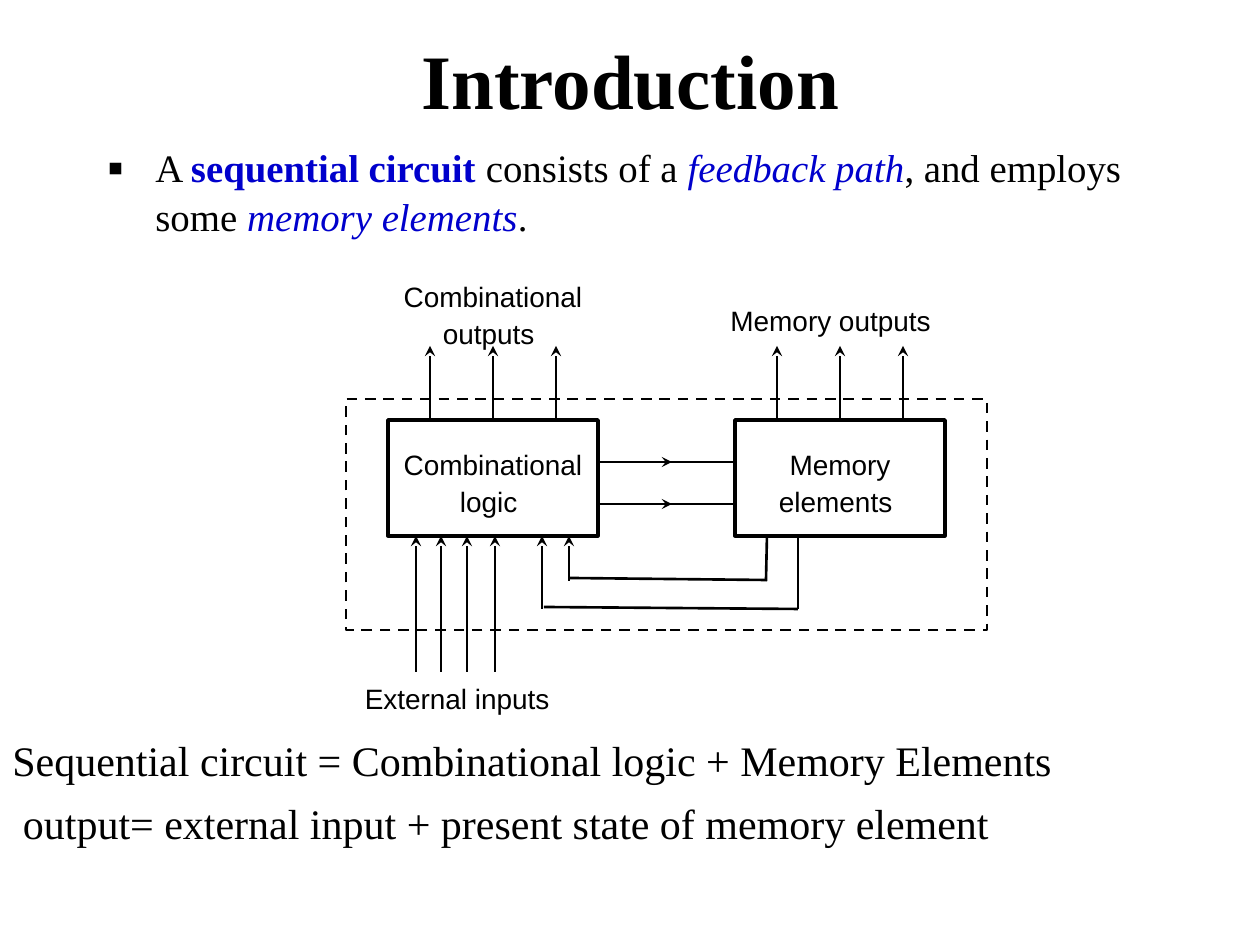
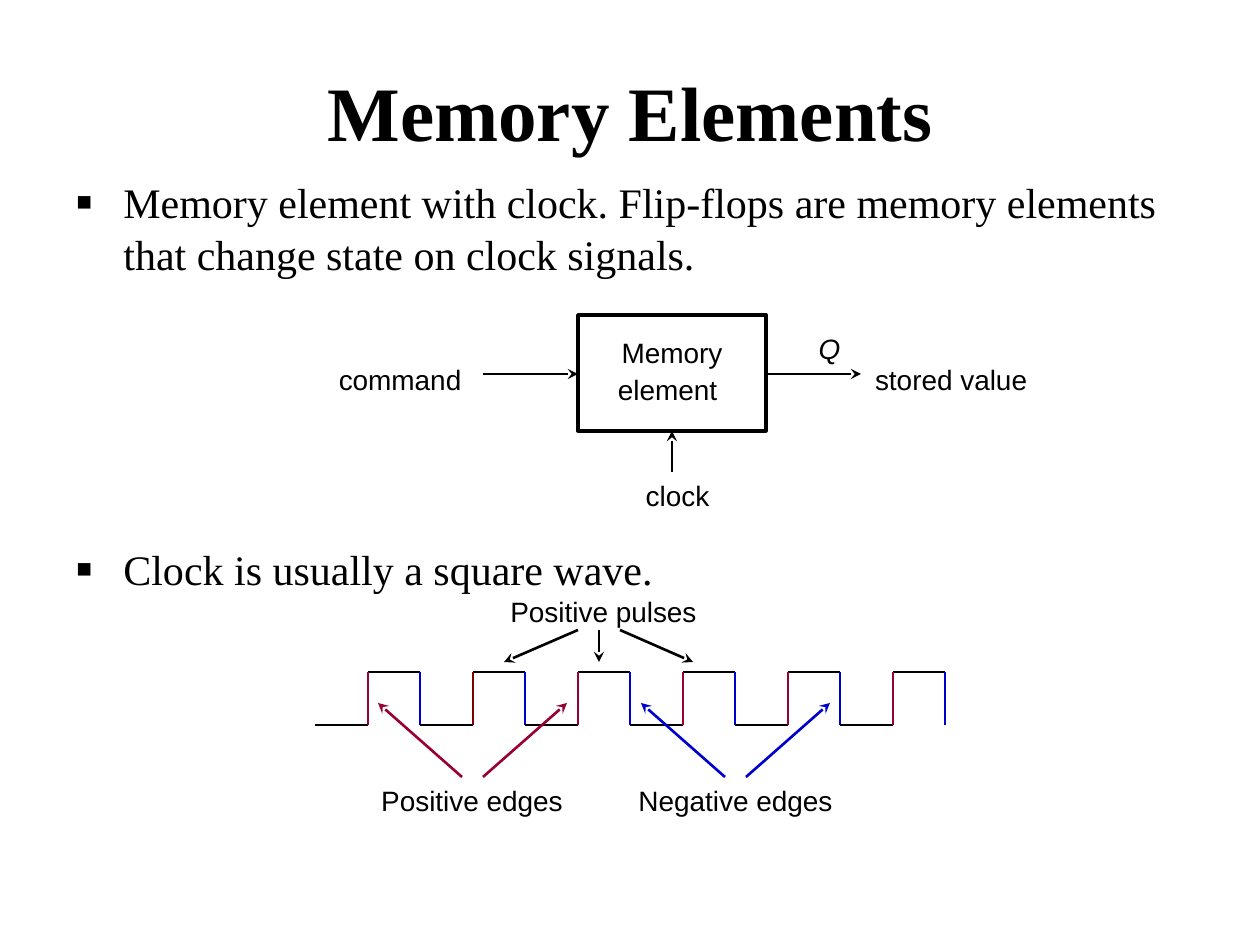
from dataclasses import dataclass
from typing import NamedTuple

from lxml.etree import SubElement
from pptx import Presentation
from pptx.dml.color import RGBColor
from pptx.enum.dml import MSO_LINE as Dash
from pptx.enum.shapes import MSO_CONNECTOR as Link, MSO_SHAPE as Shape
from pptx.enum.text import MSO_ANCHOR as Anchor, MSO_AUTO_SIZE as Fit, PP_ALIGN as Align
from pptx.oxml.ns import qn
from pptx.util import Emu, Pt

PX = 914400 / 126
BLACK = RGBColor(0x00, 0x00, 0x00)
BLUE = RGBColor(0x00, 0x00, 0xCC)
RED = RGBColor(0x99, 0x00, 0x33)
MAROON = RGBColor(0x80, 0x00, 0x00)

SERIF = {"name": "Times New Roman", "size": Pt(24), "bold": False, "italic": False}
TITLE = SERIF | {"size": Pt(44), "bold": True}
SANS = {"name": "Arial", "size": Pt(16), "bold": False, "italic": False}
HANG = 48


def px(value: float) -> Emu:
    return Emu(round(value * PX))


class Box(NamedTuple):
    left: int
    top: int
    width: int
    height: int

    def emu(self) -> list[Emu]:
        return [px(side) for side in self]


@dataclass
class Span:
    text: str
    bold: bool = False
    italic: bool = False
    color: RGBColor = BLACK


@dataclass
class Item:
    """One paragraph of body text."""
    spans: list[Span]
    before: int = 6
    size: float = 24
    bullet: bool = True


@dataclass
class Label:
    text: str
    box: Box
    italic: bool = False
    tail: bool = False  # ends in a wider 18 pt space


@dataclass
class Line:
    x1: int
    y1: int
    x2: int
    y2: int
    arrow: bool = True
    color: RGBColor = BLACK


def add_run(para, text: str, style: dict, color: RGBColor = BLACK) -> None:
    run = para.add_run()
    run.text = text
    for key, value in style.items():
        setattr(run.font, key, value)
    run.font.color.rgb = color


def add_title(slide, text: str, top: int) -> None:
    title = slide.shapes.title
    title.left, title.top, title.width, title.height = Box(95, top, 1071, 158).emu()
    frame = title.text_frame
    frame.auto_size = Fit.NONE
    frame.vertical_anchor = Anchor.MIDDLE
    para = frame.paragraphs[0]
    para.alignment = Align.CENTER
    add_run(para, text, TITLE)


def add_frame(slide, box: Box):
    frame = slide.shapes.add_textbox(*box.emu()).text_frame
    frame.word_wrap = True
    return frame


def add_bullet(props) -> None:
    color = SubElement(props, qn("a:buClr"))
    SubElement(color, qn("a:srgbClr"), val=str(BLACK))
    SubElement(props, qn("a:buSzPct"), val="120000")
    SubElement(props, qn("a:buFont"), typeface=SERIF["name"])
    SubElement(props, qn("a:buChar"), char="▪")


def add_body(slide, box: Box, items: list[Item]) -> None:
    frame = add_frame(slide, box)
    for i, item in enumerate(items):
        para = frame.add_paragraph() if i else frame.paragraphs[0]
        para.space_before = Pt(item.before)
        para.line_spacing = 1.04
        props = para._p.get_or_add_pPr()
        props.set("marL", str(px(HANG)))
        props.set("indent", str(-px(HANG)))
        if item.bullet:
            add_bullet(props)
        for span in item.spans:
            style = SERIF | {"size": Pt(item.size), "bold": span.bold,
                             "italic": span.italic}
            add_run(para, span.text, style, span.color)


def add_label(slide, label: Label) -> None:
    para = add_frame(slide, label.box).paragraphs[0]
    para.alignment = Align.CENTER
    add_run(para, label.text, SANS | {"italic": label.italic})
    if label.tail:
        add_run(para, " ", SANS | {"size": Pt(18)})


def add_block(slide, box: Box, width: float = 2, dash: Dash | None = None) -> None:
    block = slide.shapes.add_shape(Shape.RECTANGLE, *box.emu())
    block.shadow.inherit = False
    block.fill.background()
    block.line.color.rgb = BLACK
    block.line.width = Pt(width)
    if dash:
        block.line.dash_style = dash


def add_line(slide, line: Line) -> None:
    ends = [px(end) for end in (line.x1, line.y1, line.x2, line.y2)]
    link = slide.shapes.add_connector(Link.STRAIGHT, *ends)
    link.line.color.rgb = line.color
    link.line.width = Pt(1.5)
    props = link._element.spPr
    if line.arrow:
        SubElement(props.find(qn("a:ln")), qn("a:tailEnd"), type="stealth")
    SubElement(props, qn("a:effectLst"))


def draw(slide, lines: list[Line], labels: list[Label]) -> None:
    for line in lines:
        add_line(slide, line)
    for label in labels:
        add_label(slide, label)


def wave(left: int, high: int, low: int, count: int) -> list[Line]:
    """Square wave with red rising and blue falling edges."""
    lines = []
    for i in range(count):
        start = left + 105 * i
        rise, fall = start + 53, start + 105
        lines += [
            Line(start, low, rise, low, False),
            Line(rise, high, fall, high, False),
            Line(rise, high, rise, low, False, MAROON if i == 1 else RED),
            Line(fall, high, fall, low, False, BLUE),
        ]
    return lines


def build_intro(slide) -> None:
    add_title(slide, "Introduction", 0)
    add_body(slide, Box(95, 136, 1071, 106), [Item([
        Span("A "),
        Span("sequential circuit", bold=True, color=BLUE),
        Span(" consists of a "),
        Span("feedback path", italic=True, color=BLUE),
        Span(", and employs some "),
        Span("memory elements", italic=True, color=BLUE),
        Span("."),
    ], size=22.2)])

    logic, memory = 388, 735
    top, base = 420, 536
    for left in (logic, memory):
        add_block(slide, Box(left, top, 210, base - top))
    lines = [Line(left + 42 + 63 * i, top, left + 42 + 63 * i, 346)
             for left in (logic, memory) for i in range(3)]
    for y in (462, 504):
        lines += [Line(598, y, 672, y), Line(662, y, memory, y, False)]
    lines += [Line(x, 672, x, base) for x in (416, 441, 467, 495)]
    lines += [
        Line(542, 609, 542, base),
        Line(569, 581, 569, base),
        Line(569, 578, 767, 580, False),
        Line(544, 607, 798, 609, False),
        Line(767, base, 766, 581, False),
        Line(798, base, 798, 609, False),
    ]
    draw(slide, lines, [
        Label("Combinational logic", Box(logic, 441, 210, 84), tail=True),
        Label("Memory elements", Box(memory, 441, 210, 84), tail=True),
        Label("Combinational outputs", Box(logic, 273, 210, 84), tail=True),
        Label("Memory outputs", Box(714, 294, 242, 50), tail=True),
        Label("External inputs", Box(346, 672, 231, 50), tail=True),
    ])
    add_block(slide, Box(346, 399, 641, 231), 1.5, Dash.DASH)
    add_body(slide, Box(0, 726, 1239, 188), [Item([Span(text)], bullet=False) for text in (
        "Sequential circuit = Combinational logic + Memory Elements",
        " output= external input + present state of memory element",
    )])


def build_memory(slide) -> None:
    add_title(slide, "Memory Elements", 32)
    add_body(slide, Box(63, 168, 1123, 455), [
        Item([Span("Memory element with clock. Flip-flops are memory elements "
                   "that change state on clock signals.")]),
        Item([Span("Clock is usually a square wave.")], before=150),
    ])

    add_block(slide, Box(578, 315, 188, 116))
    draw(slide, [
        Line(483, 374, 578, 374),
        Line(766, 374, 861, 374),
        Line(672, 472, 672, 431),
    ], [
        Label("command", Box(315, 353, 179, 50), tail=True),
        Label("Memory element", Box(588, 329, 168, 84), tail=True),
        Label("stored value", Box(861, 353, 189, 50), tail=True),
        Label("Q", Box(798, 325, 63, 47), italic=True),
        Label("clock ", Box(630, 472, 95, 47)),
    ])

    lines = wave(315, 672, 725, 6)
    lines += [Line(x1, 630, x2, 662) for x1, x2 in ((578, 504), (599, 599), (620, 693))]
    lines += [Line(x1, 777, x2, 703, color=color) for x1, x2, color in (
        (462, 378, RED), (483, 567, RED), (746, 830, BLUE), (725, 641, BLUE))]
    draw(slide, lines, [
        Label("Positive edges", Box(367, 777, 210, 47)),
        Label("Negative edges", Box(620, 777, 231, 47)),
        Label("Positive pulses", Box(493, 588, 221, 47)),
    ])


def main() -> None:
    deck = Presentation()
    deck.slide_width, deck.slide_height = px(1260), px(945)
    layout = deck.slide_layouts.get_by_name("Title Only")
    for build in (build_intro, build_memory):
        build(deck.slides.add_slide(layout))
    deck.save("out.pptx")


if __name__ == "__main__":
    main()
